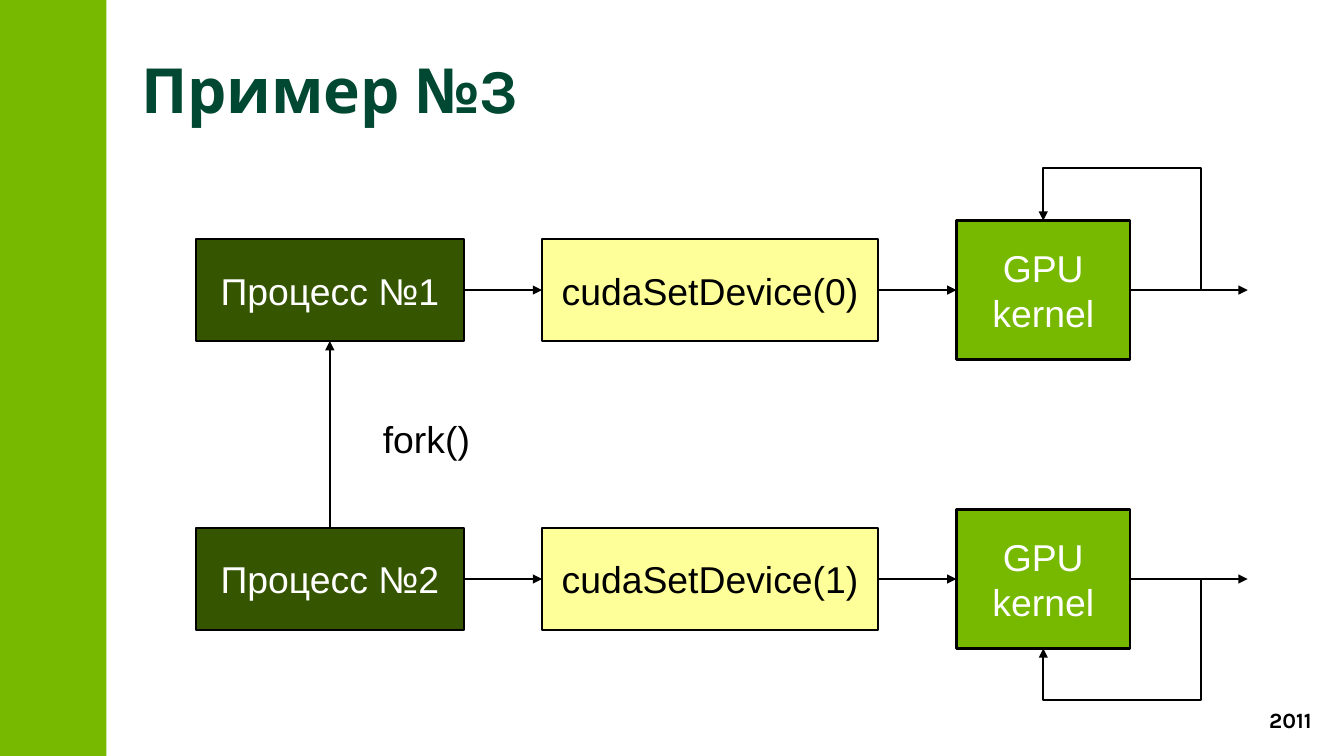
from lxml import etree
from pptx import Presentation
from pptx.dml.color import RGBColor
from pptx.enum import shapes as kinds, text as txt
from pptx.oxml import ns
from pptx.util import Inches, Pt

BLACK, WHITE, GREEN = "000000", "FFFFFF", "76B900"
DARK_GREEN, YELLOW, TITLE_GREEN = "365500", "FFFF99", "004831"

LABELS = [
    ("Пример №3", (1.26, 0.27, 10.29, 1.13), "Karla", 40, TITLE_GREEN, True),
    ("fork()", (3.32, 3.67, 1.22, 0.47), "Arial", 24, BLACK, False),
    ("2011", (8.4, 6.26, 3.41, 0.33), "Karla", 14, BLACK, True),
]
COLUMNS = [
    (1.75, 2.39, 0.91, DARK_GREEN, WHITE),
    (4.84, 3.0, 0.91, YELLOW, BLACK),
    (8.54, 1.55, 1.24, GREEN, WHITE),
]
KERNEL = "GPU\nkernel"
ROWS = [
    (2.59, 1.5, 0, ["Процесс №1", "cudaSetDevice(0)", KERNEL]),
    (5.17, 6.25, 2, ["Процесс №2", "cudaSetDevice(1)", KERNEL]),
]
FLOW_END, LOOP_START = 11.14, 10.72
LINE_WIDTH = Pt(1.45)


def color(value):
    return RGBColor.from_string(value)


def write(frame, content, font, size, ink, bold=False, align=None):
    frame.word_wrap = True
    frame.text = content
    for paragraph in frame.paragraphs:
        paragraph.alignment = align
        for run in paragraph.runs:
            run.font.name = font
            run.font.size = Pt(size)
            run.font.bold = bold
            run.font.color.rgb = color(ink)


def add_rectangle(slide, place, fill):
    rectangle = slide.shapes.add_shape(
        kinds.MSO_SHAPE.RECTANGLE, *map(Inches, place))
    rectangle.shadow.inherit = False
    rectangle.fill.solid()
    rectangle.fill.fore_color.rgb = color(fill)
    rectangle.line.fill.background()
    return rectangle


def add_step(slide, content, column, middle):
    left, width, height, fill, ink = column
    step = add_rectangle(slide, (left, middle - height / 2, width, height), fill)
    style_line(step)
    frame = step.text_frame
    frame.margin_left = frame.margin_right = Inches(0.11)
    frame.margin_top = frame.margin_bottom = Inches(0.06)
    frame.vertical_anchor = txt.MSO_ANCHOR.MIDDLE
    write(frame, content, "Arial", 24, ink, align=txt.PP_ALIGN.CENTER)
    return step


def style_line(item, arrow=False):
    item.line.color.rgb = color(BLACK)
    item.line.width = LINE_WIDTH
    if arrow:
        etree.SubElement(item.line._get_or_add_ln(), ns.qn("a:tailEnd"),
                         type="triangle")


def add_arrow(slide, start, side, end=None, end_side=1):
    arrow = slide.shapes.add_connector(
        kinds.MSO_CONNECTOR.STRAIGHT, 0, 0, Inches(FLOW_END), 0)
    arrow.begin_connect(start, side)
    if end is None:
        arrow.end_x, arrow.end_y = Inches(FLOW_END), arrow.begin_y
    else:
        arrow.end_connect(end, end_side)
    style_line(arrow, arrow=True)
    etree.SubElement(arrow._element.spPr, ns.qn("a:effectLst"))


def add_loop(slide, kernel, middle, turn, side):
    center = kernel.left + kernel.width // 2
    edge = kernel.top if side == 0 else kernel.top + kernel.height
    builder = slide.shapes.build_freeform(Inches(LOOP_START), Inches(middle))
    builder.add_line_segments(
        [(Inches(LOOP_START), Inches(turn)), (center, Inches(turn)),
         (center, edge)], close=False)
    loop = builder.convert_to_shape()
    loop.shadow.inherit = False
    loop.fill.background()
    style_line(loop, arrow=True)


def main():
    deck = Presentation()
    deck.slide_width, deck.slide_height = Inches(12), Inches(6.75)
    slide = deck.slides.add_slide(deck.slide_layouts[6])
    add_rectangle(slide, (0, 0, 0.95, 6.75), GREEN)

    title, fork, year = [
        slide.shapes.add_textbox(*map(Inches, label[1])) for label in LABELS]
    for box, (content, _, *style) in zip((title, fork, year), LABELS):
        write(box.text_frame, content, *style)
    frame = title.text_frame
    frame.margin_left = frame.margin_right = 0
    frame.margin_top = frame.margin_bottom = 0
    frame.vertical_anchor = txt.MSO_ANCHOR.MIDDLE
    frame.paragraphs[0].line_spacing = 0.9
    year.text_frame.paragraphs[0].alignment = txt.PP_ALIGN.RIGHT

    processes = []
    for middle, turn, side, contents in ROWS:
        steps = [add_step(slide, content, column, middle)
                 for content, column in zip(contents, COLUMNS)]
        for start, end in zip(steps, steps[1:] + [None]):
            add_arrow(slide, start, 3, end)
        add_loop(slide, steps[-1], middle, turn, side)
        processes.append(steps[0])
    add_arrow(slide, processes[1], 0, processes[0], 2)

    deck.save("out.pptx")


if __name__ == "__main__":
    main()
